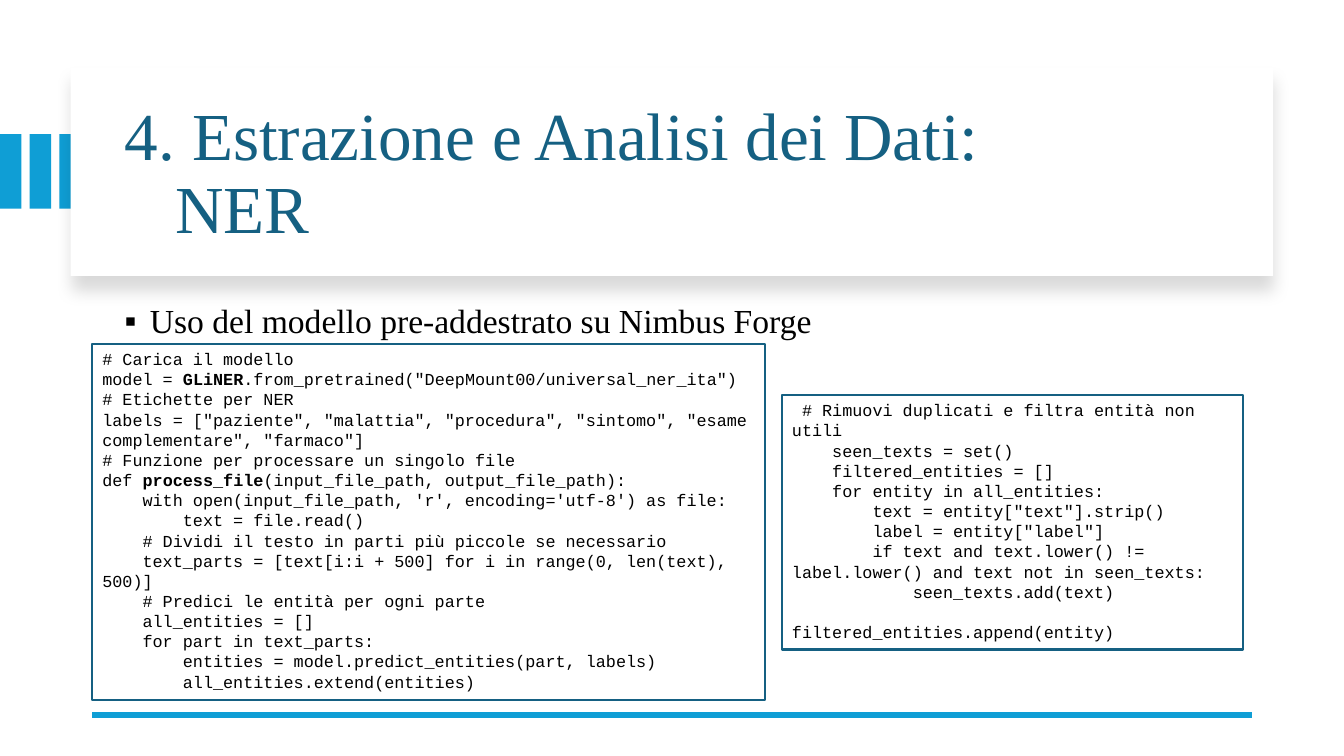
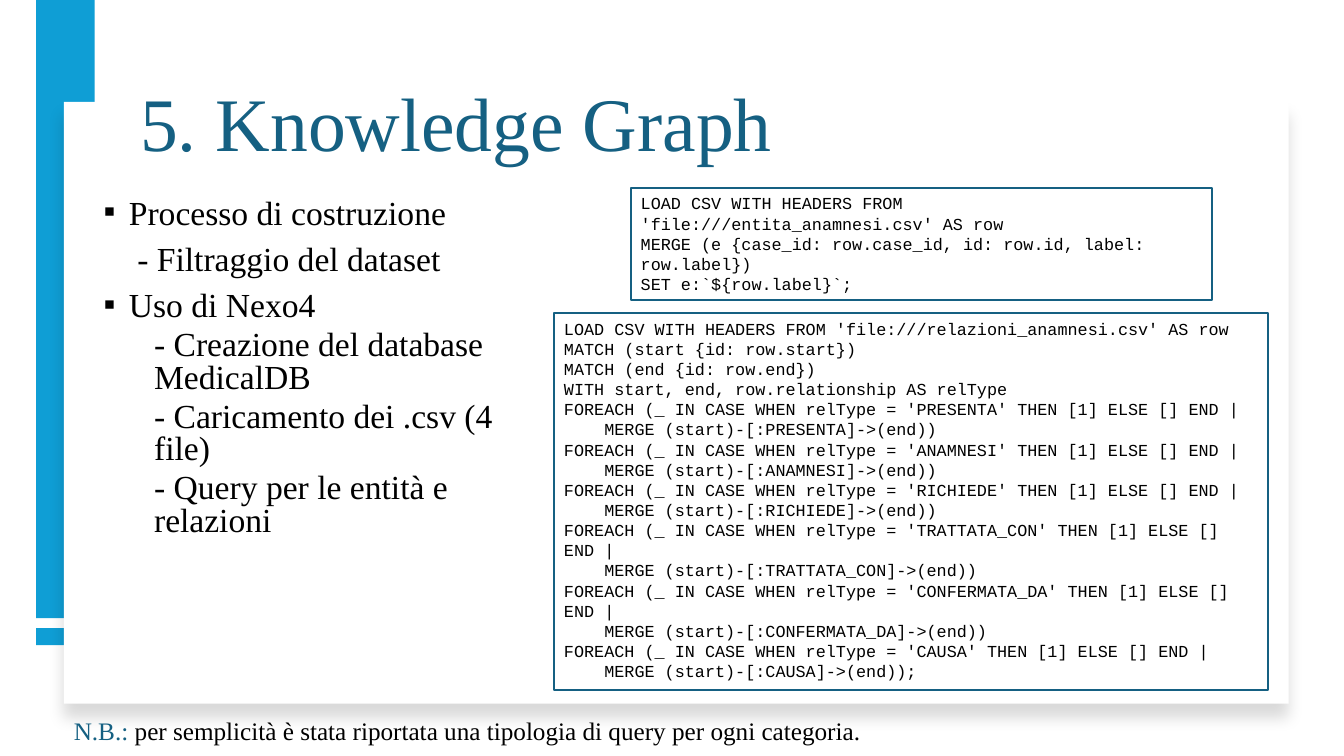
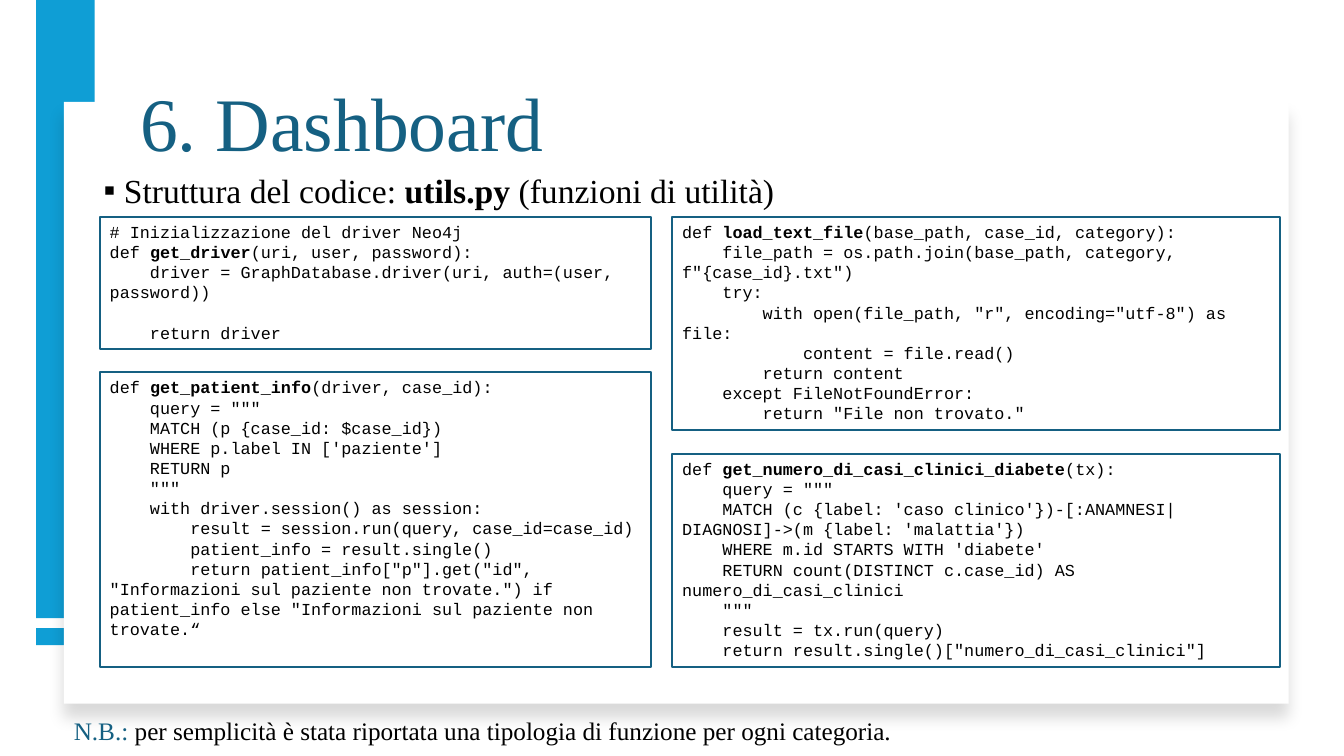
"""Build three slides on entity extraction, the knowledge graph and the dashboard."""
from dataclasses import dataclass

from lxml import etree
from pptx import Presentation
from pptx.dml.color import RGBColor
from pptx.enum import shapes, text
from pptx.oxml import ns
from pptx.util import Pt

BLUE = RGBColor(0x0F, 0x9E, 0xD5)
TEAL = RGBColor(0x15, 0x60, 0x82)
BLACK = RGBColor(0, 0, 0)
WHITE = RGBColor(0xFF, 0xFF, 0xFF)
SERIF, MONO = "Times New Roman", "Courier New"
BOLD_MARK = "**"
CODE_LINE = 14.4
TITLE_ONLY = 5


@dataclass(frozen=True)
class Area:
    left: float
    top: float
    width: float
    height: float

    def lengths(self):
        return Pt(self.left), Pt(self.top), Pt(self.width), Pt(self.height)


@dataclass(frozen=True)
class Style:
    font: str
    size: float
    color: RGBColor


@dataclass(frozen=True)
class Line:
    text: str
    left: float = 0
    bullet: bool = False
    before: float = 0


@dataclass(frozen=True)
class Listing:
    area: Area
    code: str


BODY = Style(SERIF, 24, BLACK)
CODE = Style(MONO, 12, BLACK)
NOTE = Style(SERIF, 18, BLACK)
NOTE_LABEL = Style(SERIF, 18, TEAL)

NER_MODEL = '''# Carica il modello
model = **GLiNER**.from_pretrained("DeepMount00/universal_ner_ita")
# Etichette per NER
labels = ["paziente", "malattia", "procedura", "sintomo", "esame complementare", "farmaco"]
# Funzione per processare un singolo file
def **process_file**(input_file_path, output_file_path):
    with open(input_file_path, 'r', encoding='utf-8') as file:
        text = file.read()
    # Dividi il testo in parti più piccole se necessario
    text_parts = [text[i:i + 500] for i in range(0, len(text), 500)]
    # Predici le entità per ogni parte
    all_entities = []
    for part in text_parts:
        entities = model.predict_entities(part, labels)
        all_entities.extend(entities)'''

NER_FILTER = ''' # Rimuovi duplicati e filtra entità non utili
    seen_texts = set()
    filtered_entities = []
    for entity in all_entities:
        text = entity["text"].strip()
        label = entity["label"]
        if text and text.lower() != label.lower() and text not in seen_texts:
            seen_texts.add(text)
            filtered_entities.append(entity)'''

ENTITY_QUERY = '''LOAD CSV WITH HEADERS FROM 'file:///entita_anamnesi.csv' AS row
MERGE (e {case_id: row.case_id, id: row.id, label: row.label})
SET e:`${row.label}`;'''

RELATIONS = ("PRESENTA", "ANAMNESI", "RICHIEDE", "TRATTATA_CON", "CONFERMATA_DA", "CAUSA")
RELATION_HEAD = '''LOAD CSV WITH HEADERS FROM 'file:///relazioni_anamnesi.csv' AS row
MATCH (start {id: row.start})
MATCH (end {id: row.end})
WITH start, end, row.relationship AS relType
'''
RELATION_QUERY = RELATION_HEAD + "\n".join(
    f"FOREACH (_ IN CASE WHEN relType = '{name}' THEN [1] ELSE [] END |\n"
    f"    MERGE (start)-[:{name}]->(end))"
    for name in RELATIONS
) + ";"

GET_DRIVER = '''# Inizializzazione del driver Neo4j
def **get_driver**(uri, user, password):
    driver = GraphDatabase.driver(uri, auth=(user, password))

    return driver'''

GET_PATIENT = '''def **get_patient_info**(driver, case_id):
    query = """
    MATCH (p {case_id: $case_id})
    WHERE p.label IN ['paziente']
    RETURN p
    """
    with driver.session() as session:
        result = session.run(query, case_id=case_id)
        patient_info = result.single()
        return patient_info["p"].get("id", "Informazioni sul paziente non trovate.") if patient_info else "Informazioni sul paziente non trovate.“'''

LOAD_TEXT = '''def **load_text_file**(base_path, case_id, category):
    file_path = os.path.join(base_path, category, f"{case_id}.txt")
    try:
        with open(file_path, "r", encoding="utf-8") as file:
            content = file.read()
        return content
    except FileNotFoundError:
        return "File non trovato."'''

COUNT_CASES = '''def **get_numero_di_casi_clinici_diabete**(tx):
    query = """
    MATCH (c {label: 'caso clinico'})-[:ANAMNESI|DIAGNOSI]->(m {label: 'malattia'})
    WHERE m.id STARTS WITH 'diabete'
    RETURN count(DISTINCT c.case_id) AS numero_di_casi_clinici
    """
    result = tx.run(query)
    return result.single()["numero_di_casi_clinici"]'''


def add_spans(para, content: str, style: Style) -> None:
    """Add runs to a paragraph, bold between the marks."""
    for index, part in enumerate(content.split(BOLD_MARK)):
        if part:
            span = para.add_run()
            span.text = part
            span.font.name = style.font
            span.font.size = Pt(style.size)
            span.font.color.rgb = style.color
            span.font.bold = index % 2 == 1


def prepare_frame(box, anchor):
    """Make the frame of a box wrap at a fixed size and return it."""
    frame = box.text_frame
    frame.word_wrap = True
    frame.auto_size = text.MSO_AUTO_SIZE.NONE
    frame.vertical_anchor = anchor
    return frame


def next_paragraph(frame, index: int):
    """Return the first paragraph of a frame or add another."""
    return frame.add_paragraph() if index else frame.paragraphs[0]


def add_rect(page, area: Area, fill: RGBColor):
    """Add a plain rectangle without line or shadow."""
    box = page.shapes.add_shape(shapes.MSO_SHAPE.RECTANGLE, *area.lengths())
    box.shadow.inherit = False
    box.fill.solid()
    box.fill.fore_color.rgb = fill
    box.line.fill.background()
    return box


def add_panel(page, area: Area) -> None:
    """Add a white panel with a soft shadow below it."""
    panel = add_rect(page, area, WHITE)
    effects = panel.element.spPr.find(ns.qn("a:effectLst"))
    shadow = etree.SubElement(
        effects, ns.qn("a:outerShdw"), blurRad=str(Pt(11)), dist=str(Pt(10)),
        dir="5400000", algn="t", rotWithShape="0")
    color = etree.SubElement(shadow, ns.qn("a:srgbClr"), val="000000")
    etree.SubElement(color, ns.qn("a:alpha"), val="15000")


def set_title(page, lines: list[str], area: Area, size: float, anchor) -> None:
    """Place and format the title in front of the panel."""
    title = page.shapes.title
    title.element.getparent().append(title.element)
    title.left, title.top, title.width, title.height = area.lengths()
    para = prepare_frame(title, anchor).paragraphs[0]
    para.alignment = text.PP_ALIGN.LEFT
    para.line_spacing = 0.9
    for index, line in enumerate(lines):
        if index:
            para.add_line_break()
        add_spans(para, line, Style(SERIF, size, TEAL))


def add_body(page, area: Area, lines: list[Line], spacing: float, anchor) -> None:
    """Add indented body text with square bullets."""
    box = page.shapes.add_textbox(*area.lengths())
    frame = prepare_frame(box, anchor)
    for index, line in enumerate(lines):
        para = next_paragraph(frame, index)
        para.line_spacing = spacing
        para.space_before = Pt(line.before)
        props = para._p.get_or_add_pPr()
        props.set("marL", str(Pt(line.left)))
        props.set("indent", str(Pt(-line.left if line.bullet else 0)))
        if line.bullet:
            etree.SubElement(props, ns.qn("a:buFont"), typeface="Arial")
            etree.SubElement(props, ns.qn("a:buChar"), char="▪")
        add_spans(para, line.text, BODY)


def add_listing(page, listing: Listing) -> None:
    """Add a framed code listing, with empty lines as spacing."""
    box = add_rect(page, listing.area, WHITE)
    box.line.color.rgb = TEAL
    box.line.width = Pt(1.5)
    frame = prepare_frame(box, text.MSO_ANCHOR.TOP)
    gap = 0
    for index, line in enumerate(listing.code.split("\n")):
        if not line:
            gap += CODE_LINE
            continue
        para = next_paragraph(frame, index)
        para.alignment = text.PP_ALIGN.LEFT
        para.space_before = Pt(gap)
        gap = 0
        add_spans(para, line, CODE)


def add_column(page, left: float, width: float, blocks: list[tuple[float, str]]) -> None:
    """Stack listings of given heights with equal gaps."""
    top, gap = 154.8, 16.6
    for height, code in blocks:
        add_listing(page, Listing(Area(left, top, width, height), code))
        top += height + gap


def add_page(deck):
    """Add an empty title-only slide."""
    return deck.slides.add_slide(deck.slide_layouts[TITLE_ONLY])


def add_banded_page(deck, title: str, subject: str):
    """Add a slide with side band, large panel, title and footnote."""
    page = add_page(deck)
    add_rect(page, Area(25.8, 448.6, 41.8, 12.2), BLUE)
    add_rect(page, Area(25.8, 0, 41.8, 441.6), BLUE)
    add_panel(page, Area(45.6, 72.7, 874.8, 430))
    set_title(page, [title], Area(92.9, 46.8, 775.4, 77), 54, text.MSO_ANCHOR.BOTTOM)
    note = page.shapes.add_textbox(*Area(45.6, 507.6, 874.8, 29).lengths())
    para = prepare_frame(note, text.MSO_ANCHOR.TOP).paragraphs[0]
    add_spans(para, "N.B.: ", NOTE_LABEL)
    add_spans(para, f"per semplicità è stata riportata una tipologia di {subject} per ogni categoria.", NOTE)
    return page


def build_ner(deck) -> None:
    """Build the entity recognition slide."""
    page = add_page(deck)
    for index in range(3):
        add_rect(page, Area(index * 21.2, 95.8, 15.3, 53.3), BLUE)
    add_panel(page, Area(50.4, 48.2, 859, 149))
    set_title(page, ["4. Estrazione e Analisi dei Dati:", "\tNER"],
              Area(82, 64, 782.6, 122.4), 48, text.MSO_ANCHOR.MIDDLE)
    add_body(page, Area(82, 205.2, 782.6, 51),
             [Line("Uso del modello pre-addestrato su Nimbus Forge", 18, True)],
             0.9, text.MSO_ANCHOR.MIDDLE)
    rule = page.shapes.add_connector(
        shapes.MSO_CONNECTOR.STRAIGHT, Pt(894.2), Pt(510.6), Pt(66), Pt(510.6))
    rule.line.color.rgb = BLUE
    rule.line.width = Pt(4.5)
    etree.SubElement(rule.element.spPr, ns.qn("a:effectLst"))
    add_listing(page, Listing(Area(66, 245.6, 480.4, 254.4), NER_MODEL))
    add_listing(page, Listing(Area(558.6, 282.2, 329.2, 181.8), NER_FILTER))


def build_graph(deck) -> None:
    """Build the knowledge graph slide."""
    page = add_banded_page(deck, "5. Knowledge Graph", "query")
    lines = [
        Line("Processo di costruzione", 18, True),
        Line("- Filtraggio del dataset", 24, before=10),
        Line("Uso di Nexo4", 18, True, 10),
        Line("- Creazione del database MedicalDB", 36, before=5),
        Line("- Caricamento dei .csv (4 file)", 36, before=5),
        Line("- Query per le entità e relazioni", 36, before=5),
    ]
    add_body(page, Area(67, 139.7, 329, 247.7), lines, 0.8, text.MSO_ANCHOR.MIDDLE)
    add_listing(page, Listing(Area(450.6, 134.4, 415.4, 80), ENTITY_QUERY))
    add_listing(page, Listing(Area(395.8, 223.8, 510, 269.2), RELATION_QUERY))


def build_dashboard(deck) -> None:
    """Build the dashboard slide."""
    page = add_banded_page(deck, "6. Dashboard", "funzione")
    add_body(page, Area(67, 118.1, 587.5, 36),
             [Line("Struttura del codice: **utils.py **(funzioni di utilità)", 14.4, True)],
             1.0, text.MSO_ANCHOR.TOP)
    add_column(page, 71.3, 393.8, [(94.4, GET_DRIVER), (210.8, GET_PATIENT)])
    add_column(page, 480.2, 434.2, [(152.6, LOAD_TEXT), (152.6, COUNT_CASES)])


def main() -> None:
    """Build and save the deck."""
    deck = Presentation()
    deck.slide_width, deck.slide_height = Pt(960), Pt(540)
    for build in (build_ner, build_graph, build_dashboard):
        build(deck)
    deck.save("out.pptx")


if __name__ == "__main__":
    main()
